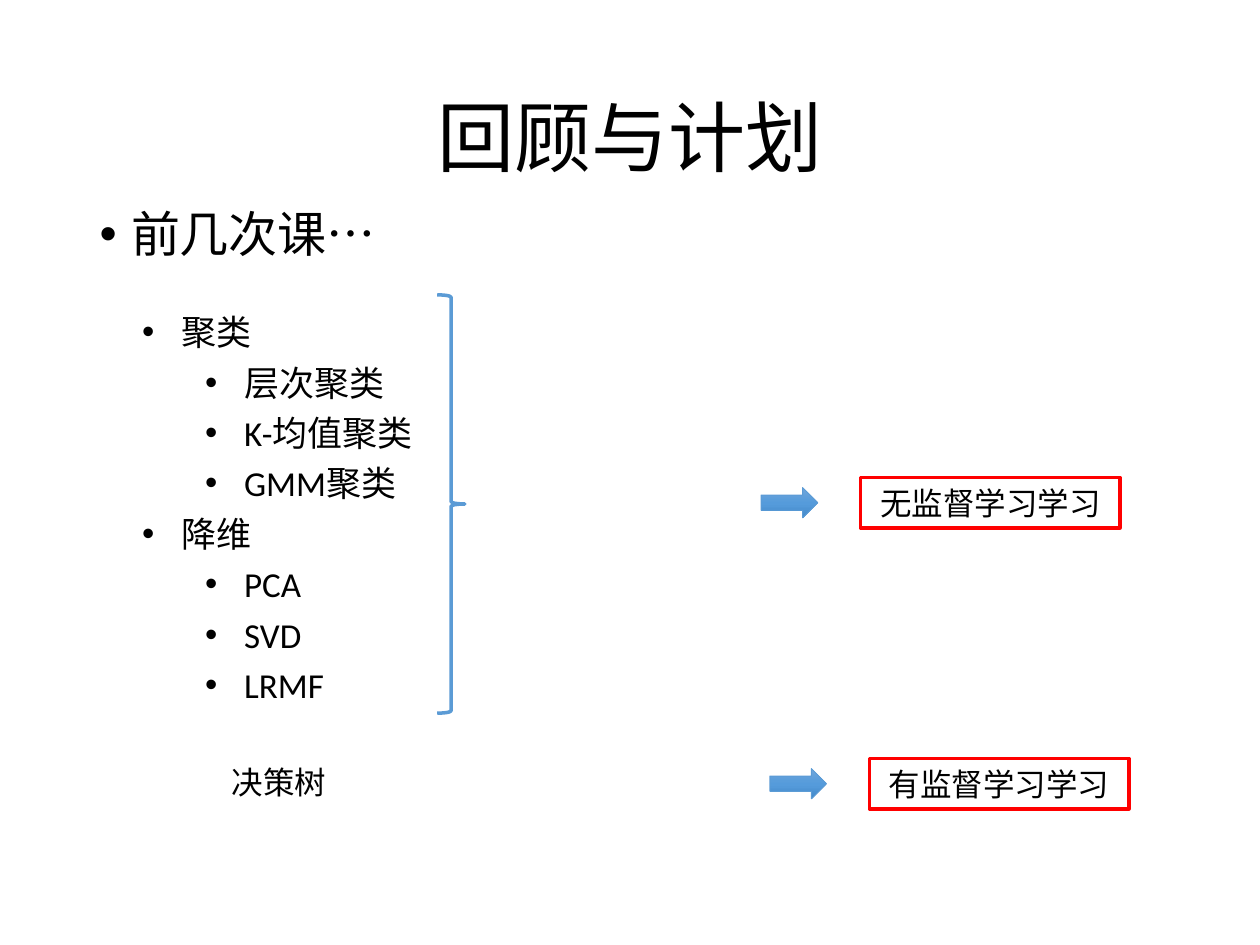
from copy import deepcopy
from lxml.etree import SubElement
from pptx import Presentation
from pptx.dml.color import RGBColor
from pptx.enum.shapes import MSO_SHAPE
from pptx.enum.text import MSO_ANCHOR, MSO_AUTO_SIZE, PP_ALIGN
from pptx.oxml.ns import qn
from pptx.util import Inches, Pt

HUES = {name: RGBColor.from_string(code) for name, code in {
    "text": "000000", "blue": "5B9BD5", "red": "FF0000",
    "light": "71A6DB", "mid": "559BDB", "dark": "448ACA"}.items()}


def style(para, size, align=PP_ALIGN.LEFT):
    para.alignment = align
    para.font.size = Pt(size)
    para.font.name = "Calibri"
    para.font.color.rgb = HUES["text"]


def bullet(para, left, hang):
    """Give the paragraph a round bullet with a hanging indent."""
    props = para._p.get_or_add_pPr()
    props.set("marL", str(Inches(left)))
    props.set("indent", str(-Inches(hang)))
    SubElement(props, qn("a:buFont")).set("typeface", "Arial")
    SubElement(props, qn("a:buChar")).set("char", "•")


deck = Presentation()
deck.slide_width, deck.slide_height = Inches(10), Inches(7.5)
slide = deck.slides.add_slide(deck.slide_layouts[1])
shapes = slide.shapes

# Title and lead line
title, body = slide.placeholders
title.left, title.top = Inches(0.69), Inches(0.4)
title.width, title.height = Inches(8.62), Inches(1.45)
title.text_frame.text = "回顾与计划"
title.text_frame.vertical_anchor = MSO_ANCHOR.MIDDLE
lead = title.text_frame.paragraphs[0]
lead.line_spacing = 0.9
style(lead, 44, PP_ALIGN.CENTER)

body.left, body.top = Inches(0.69), Inches(1.62)
body.width, body.height = Inches(8.62), Inches(0.58)
body.text_frame.text = "前几次课…"
lead = body.text_frame.paragraphs[0]
lead.line_spacing = 0.9
lead.space_before = Pt(0)
bullet(lead, 0.25, 0.25)
style(lead, 28)

# Topic list
topics = [
    (0, "聚类"), (1, "层次聚类"), (1, "K-均值聚类"), (1, "GMM聚类"),
    (0, "降维"), (1, "PCA"), (1, "SVD"), (1, "LRMF"),
]
box = shapes.add_textbox(Inches(1.03), Inches(2.35), Inches(2.4), Inches(3.31))
frame = box.text_frame
frame.word_wrap = True
for i, (level, text) in enumerate(topics):
    para = frame.add_paragraph() if i else frame.paragraphs[0]
    para.text = text
    para.level = level
    para.line_spacing = 1.2
    bullet(para, 0.31 + 0.5 * level, 0.31)
    style(para, 20)

brace = shapes.add_shape(MSO_SHAPE.RIGHT_BRACE, Inches(3.47), Inches(2.34),
                         Inches(0.22), Inches(3.32))
brace.shadow.inherit = False
brace.fill.background()
brace.line.color.rgb = HUES["blue"]
brace.line.width = Pt(2)

tree = shapes.add_textbox(Inches(1.74), Inches(6.01), Inches(1), Inches(0.4))
tree.text_frame.word_wrap = True
tree.text_frame.text = "决策树"
style(tree.text_frame.paragraphs[0], 18)

# Arrow and framed label for each kind of learning
for text, left, top in [("无监督学习学习", 6.04, 3.79),
                        ("有监督学习学习", 6.11, 6.02)]:
    label = shapes.add_shape(MSO_SHAPE.RECTANGLE, Inches(left + 0.79),
                             Inches(top), Inches(2.06), Inches(0.4))
    label.shadow.inherit = False
    label.fill.background()
    label.line.color.rgb = HUES["red"]
    label.line.width = Pt(2)
    label.text_frame.text = text
    label.text_frame.auto_size = MSO_AUTO_SIZE.SHAPE_TO_FIT_TEXT
    style(label.text_frame.paragraphs[0], 18, PP_ALIGN.CENTER)

    arrow = shapes.add_shape(MSO_SHAPE.RIGHT_ARROW, Inches(left),
                             Inches(top + 0.08), Inches(0.45), Inches(0.24))
    arrow.shadow.inherit = False
    arrow.line.color.rgb = HUES["blue"]
    arrow.line.width = Pt(0.5)
    arrow.fill.gradient()
    arrow.fill.gradient_angle = 270
    stops = arrow._element.spPr.find(".//" + qn("a:gsLst"))
    stops.insert(1, deepcopy(stops[0]))
    for stop, hue, place in zip(arrow.fill.gradient_stops,
                                ("light", "mid", "dark"), (0, 0.5, 1)):
        stop.color.rgb = HUES[hue]
        stop.position = place

deck.save("out.pptx")
